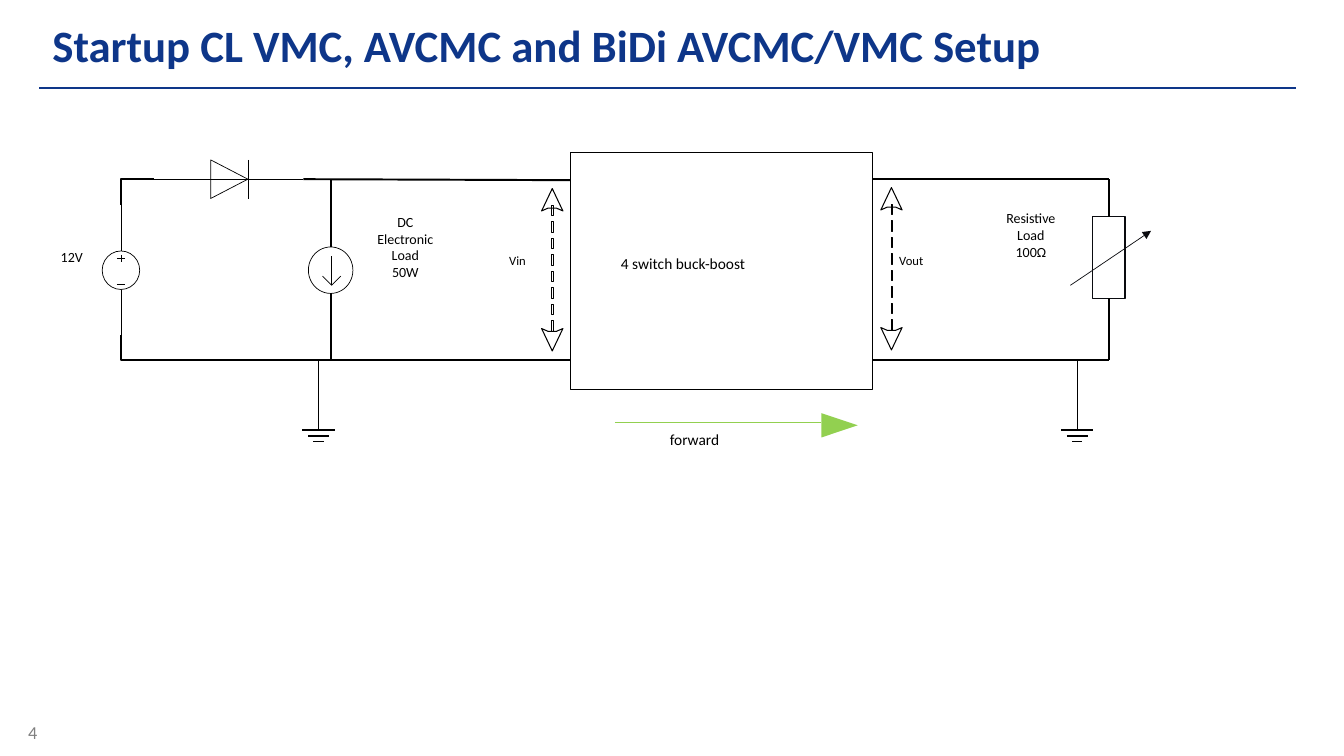
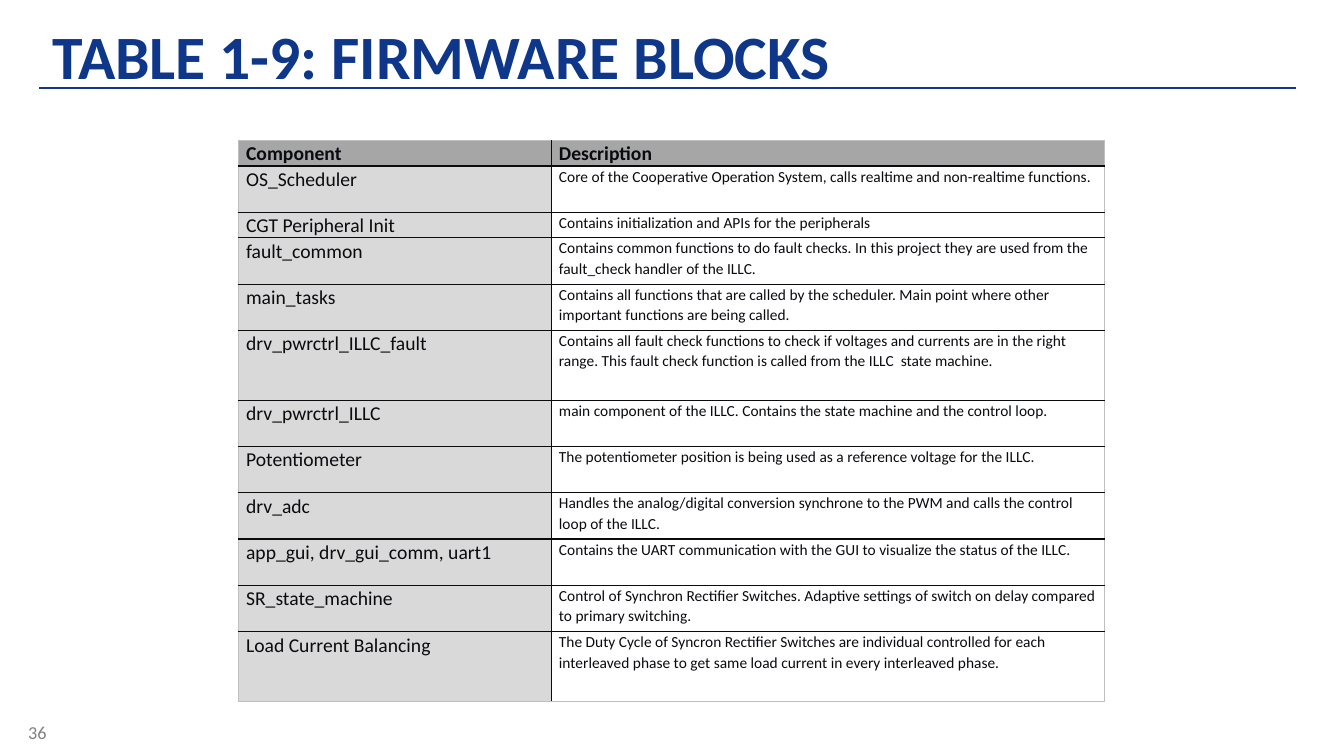
from dataclasses import dataclass

from lxml import etree
from pptx import Presentation
from pptx import util as u
from pptx.dml import color as colors
from pptx.enum import shapes, text
from pptx.oxml import ns


@dataclass(frozen=True)
class Theme:
    font: str = "Calibri"
    navy: str = "0E3689"
    black: str = "000000"
    ink: str = "0A0B0F"
    grey: str = "808080"
    edge: str = "BFBFBF"
    header: str = "A6A6A6"
    component: str = "D9D9D9"
    green: str = "92D050"
    title: float = 32
    big_title: float = 44
    number: float = 13
    component_size: float = 14
    body: float = 11
    label: float = 10
    voltage: float = 9
    hairline: float = 0.13
    thin: float = 0.5
    medium: float = 1
    wire: float = 1.38
    rule: float = 2


THEME = Theme()


def rgb(value):
    return colors.RGBColor.from_string(value)


def write(frame, content, *, size, color=THEME.black, bold=False, align="LEFT", spacing=None):
    for index, line in enumerate(content.split("\n")):
        para = frame.add_paragraph() if index else frame.paragraphs[0]
        para.alignment = getattr(text.PP_ALIGN, align)
        if spacing:
            para.line_spacing = spacing
        span = para.add_run()
        span.text = line
        span.font.name = THEME.font
        span.font.size = u.Pt(size)
        span.font.bold = bold
        span.font.color.rgb = rgb(color)


class Board:
    def __init__(self, theme):
        self.theme = theme
        self.deck = Presentation()
        self.deck.slide_width, self.deck.slide_height = u.Pt(960), u.Pt(540)
        self.page = None

    def new_page(self, title, number, size):
        self.page = self.deck.slides.add_slide(self.deck.slide_layouts[6])
        theme = self.theme
        self.label(str(number), 13, 511.5, 42.5, 29, inset=(7.2, 3.6),
                   size=theme.number, color=theme.grey)
        self.line((28, 62.9), (926, 62.9), theme.rule, theme.navy)
        self.label(title, 28, 8, 898, 61, inset=(9.4, 5),
                   size=size, color=theme.navy, bold=True)

    def label(self, content, left, top, width, height, inset=(0, 0), **style):
        box = self.page.shapes.add_textbox(*map(u.Pt, (left, top, width, height)))
        frame = box.text_frame
        frame.word_wrap = True
        frame.vertical_anchor = text.MSO_ANCHOR.TOP
        frame.margin_left = frame.margin_right = u.Pt(inset[0])
        frame.margin_top = frame.margin_bottom = u.Pt(inset[1])
        write(frame, content, **style)

    def finish(self, shape, width, color, fill=None):
        shape.shadow.inherit = False
        if fill:
            shape.fill.solid()
            shape.fill.fore_color.rgb = rgb(fill)
        else:
            shape.fill.background()
        if width is None:
            shape.line.fill.background()
        else:
            shape.line.width = u.Pt(width)
            shape.line.color.rgb = rgb(color)
        return shape

    def shape(self, kind, left, top, width, height, weight, color=THEME.black):
        preset = getattr(shapes.MSO_SHAPE, kind)
        shape = self.page.shapes.add_shape(preset, *map(u.Pt, (left, top, width, height)))
        return self.finish(shape, weight, color)

    def outline(self, contours, weight, closed=False, fill=None):
        builder = None
        for contour in contours:
            start, *rest = [(u.Pt(x), u.Pt(y)) for x, y in contour]
            if builder is None:
                builder = self.page.shapes.build_freeform(*start, scale=1.0)
            else:
                builder.move_to(*start)
            builder.add_line_segments(rest, close=closed)
        return self.finish(builder.convert_to_shape(), weight, self.theme.black, fill)

    def line(self, start, end, weight, color=THEME.black, arrow=False, joined=None):
        connector = self.page.shapes.add_connector(
            shapes.MSO_CONNECTOR.STRAIGHT, *map(u.Pt, (*start, *end)))
        connector.line.width = u.Pt(weight)
        connector.line.color.rgb = rgb(color)
        properties = connector._element.spPr
        if arrow:
            stroke = properties.find(ns.qn("a:ln"))
            etree.SubElement(stroke, ns.qn("a:tailEnd"), type="triangle")
        etree.SubElement(properties, ns.qn("a:effectLst"))
        if joined:
            connector.begin_connect(*joined)

    def ground(self, x, top):
        bars = [(50, 11.5), (54.2, 7.4), (58.3, 3.6)]
        strokes = [[(x - half, top + drop), (x + half, top + drop)] for drop, half in bars]
        self.outline([[(x, top), (x, top + 50)], *strokes], self.theme.medium)

    def voltage_arrow(self, x, top):
        dashes = []
        for index in range(8):
            start = top + 11.6 + 11.8 * index
            dashes.append([(x - 0.5, start), (x + 0.5, start),
                           (x + 0.5, start + 7.6), (x - 0.5, start + 7.6)])
        self.outline(dashes, self.theme.hairline, closed=True)
        for tip, way in ((top, 1), (top + 116, -1)):
            wing, notch = tip + 16 * way, tip + 14 * way
            head = [(x, tip), (x + 7.6, wing), (x + 3, notch), (x - 3, notch), (x - 7.6, wing)]
            self.outline([head], 0, closed=True)

    def border(self, cell, sides):
        properties = cell._tc.get_or_add_tcPr()
        for index, (side, color) in enumerate(sides.items()):
            stroke = etree.Element(ns.qn(f"a:ln{side}"), w=str(u.Pt(self.theme.medium)))
            solid = etree.SubElement(stroke, ns.qn("a:solidFill"))
            etree.SubElement(solid, ns.qn("a:srgbClr"), val=color)
            properties.insert(index, stroke)

    def table(self, rows, left, top, widths, heights):
        theme = self.theme
        frame = self.page.shapes.add_table(
            len(rows), len(widths), *map(u.Pt, (left, top, sum(widths), sum(heights))))
        grid = frame.table
        grid.first_row = grid.horz_banding = False
        for column, width in zip(grid.columns, widths):
            column.width = u.Pt(width)
        last_row, last_column = len(rows) - 1, len(widths) - 1
        for r, (row, height) in enumerate(zip(rows, heights)):
            grid.rows[r].height = u.Pt(height)
            for c, content in enumerate(row):
                cell = grid.cell(r, c)
                cell.margin_left = cell.margin_right = u.Pt(5.4)
                cell.margin_top = cell.margin_bottom = 0
                fill = theme.header if r == 0 else None if c else theme.component
                if fill:
                    cell.fill.solid()
                    cell.fill.fore_color.rgb = rgb(fill)
                else:
                    cell.fill.background()
                outer = {"L": c == 0, "R": c == last_column, "T": r == 0, "B": r == last_row}
                self.border(cell, {side: theme.edge if at_edge else theme.ink
                                   for side, at_edge in outer.items()})
                size = theme.body if r and c else theme.component_size
                write(cell.text_frame, content, size=size, color=theme.ink,
                      bold=r == 0, spacing=1.07)


def draw_setup(board):
    theme = board.theme
    board.new_page("Startup CL VMC, AVCMC and BiDi AVCMC/VMC Setup", 4, theme.title)
    rail, base = 128, 257.2
    source_x, load_x, resistor_x = 86.4, 236.2, 792
    converter_left, converter_right = 407.5, 623.5

    board.shape("RECTANGLE", converter_left, 109.2, converter_right - converter_left, 169,
                theme.thin)
    board.label("4 switch buck-boost", 443.5, 181.4, 143, 22, size=theme.body)

    board.shape("OVAL", source_x - 13.4, 179.3, 26.8, 27.5, theme.thin)
    board.outline([
        [(source_x, 146.2), (source_x, 179.3)],
        [(source_x, 206.8), (source_x, 239.6)],
        [(source_x, 182), (source_x, 187.4)],
        [(source_x - 2.9, 184.7), (source_x + 2.9, 184.7)],
        [(source_x - 2.9, 203), (source_x + 2.9, 203)],
    ], theme.thin)
    board.outline([[(source_x, 146.2), (source_x, rail), (110.2, rail)]], theme.wire)
    board.outline([[(source_x, 239.6), (source_x, base), (converter_left, base)]], theme.wire)
    board.line((110.2, rail), (216.7, rail), theme.thin)
    board.outline([
        [(177.1, rail - 13.8), (177.1, rail + 13.8)],
        [(150.5, rail + 13.8), (177.1, rail), (150.5, rail - 13.8), (150.5, rail + 13.8)],
    ], theme.thin)
    board.line((216.7, rail), (converter_left, rail + 0.7), theme.wire)

    board.shape("OVAL", load_x - 15.9, 176.4, 31.8, 33.2, theme.thin)
    board.outline([
        [(load_x + 0.7, 183), (load_x + 0.7, 203.8)],
        [(load_x - 5.8, 197.3), (load_x + 0.7, 203.8), (load_x + 7.2, 197.3)],
    ], theme.thin)
    board.line((load_x, rail), (load_x, 176.4), theme.wire)
    board.line((load_x, 209.6), (load_x, base), theme.wire)

    resistor = board.shape("RECTANGLE", resistor_x - 11.5, 154.8, 23, 58.4,
                           theme.medium, theme.ink)
    board.line((resistor_x, 154.8), (resistor_x, rail), theme.wire, joined=(resistor, 0))
    board.line((resistor_x, 213.2), (resistor_x, base), theme.wire, joined=(resistor, 2))
    for level in (rail, base):
        board.line((converter_right, level), (resistor_x, level), theme.wire)
    board.line((764.6, 203.8), (822.2, 164.9), theme.thin, theme.ink, arrow=True)

    for x in (227.5, 769.5):
        board.ground(x, base)
    for x, top in ((394.5, 134.7), (636.8, 134)):
        board.voltage_arrow(x, top)

    board.label("12V", 43.4, 177.5, 25, 20, size=theme.label)
    board.label("Vin", 363.7, 180.7, 25, 35, size=theme.voltage)
    board.label("Vout", 642.3, 180.7, 57, 35, size=theme.voltage)
    board.label("DC\nElectronic\nLoad\n50W", 257, 152.4, 65, 80,
                size=theme.label, align="CENTER")
    board.label("Resistive\nLoad\n100Ω", 707.8, 149.6, 57, 60.5,
                size=theme.label, align="CENTER")

    board.line((439.2, 302), (586.8, 302), theme.medium, theme.green)
    board.outline([[(586.8, 295.2), (612.7, 303.8), (586.8, 312.5)]], None,
                  closed=True, fill=theme.green)
    board.label("forward", 478.4, 307.4, 84, 35, size=theme.body)


FIRMWARE_BLOCKS = [
    ("Component", "Description"),
    ("OS_Scheduler", "Core of the Cooperative Operation System, calls realtime and "
     "non-realtime functions."),
    ("CGT Peripheral Init", "Contains initialization and APIs for the peripherals"),
    ("fault_common", "Contains common functions to do fault checks. In this project they are "
     "used from the fault_check handler of the ILLC."),
    ("main_tasks", "Contains all functions that are called by the scheduler. Main point where "
     "other important functions are being called."),
    ("drv_pwrctrl_ILLC_fault", "Contains all fault check functions to check if voltages and "
     "currents are in the right range. This fault check function is called from the "
     "ILLC  state machine."),
    ("drv_pwrctrl_ILLC", "main component of the ILLC. Contains the state machine and the "
     "control loop."),
    ("Potentiometer", "The potentiometer position is being used as a reference voltage for "
     "the ILLC."),
    ("drv_adc", "Handles the analog/digital conversion synchrone to the PWM and calls the "
     "control loop of the ILLC."),
    ("app_gui, drv_gui_comm, uart1", "Contains the UART communication with the GUI to "
     "visualize the status of the ILLC."),
    ("SR_state_machine", "Control of Synchron Rectifier Switches. Adaptive settings of switch "
     "on delay compared to primary switching."),
    ("Load Current Balancing", "The Duty Cycle of Syncron Rectifier Switches are individual "
     "controlled for each interleaved phase to get same load current in every "
     "interleaved phase."),
]


def draw_firmware(board):
    board.new_page("TABLE 1-9: FIRMWARE BLOCKS", 36, board.theme.big_title)
    one, two, three = 18.2, 33.1, 49.8
    heights = [one, two, one, two, two, three, *[two] * 5, three]
    board.table(FIRMWARE_BLOCKS, 170.4, 100.4, [223.5, 395], heights)


def main():
    board = Board(THEME)
    draw_setup(board)
    draw_firmware(board)
    board.deck.save("out.pptx")


if __name__ == "__main__":
    main()
